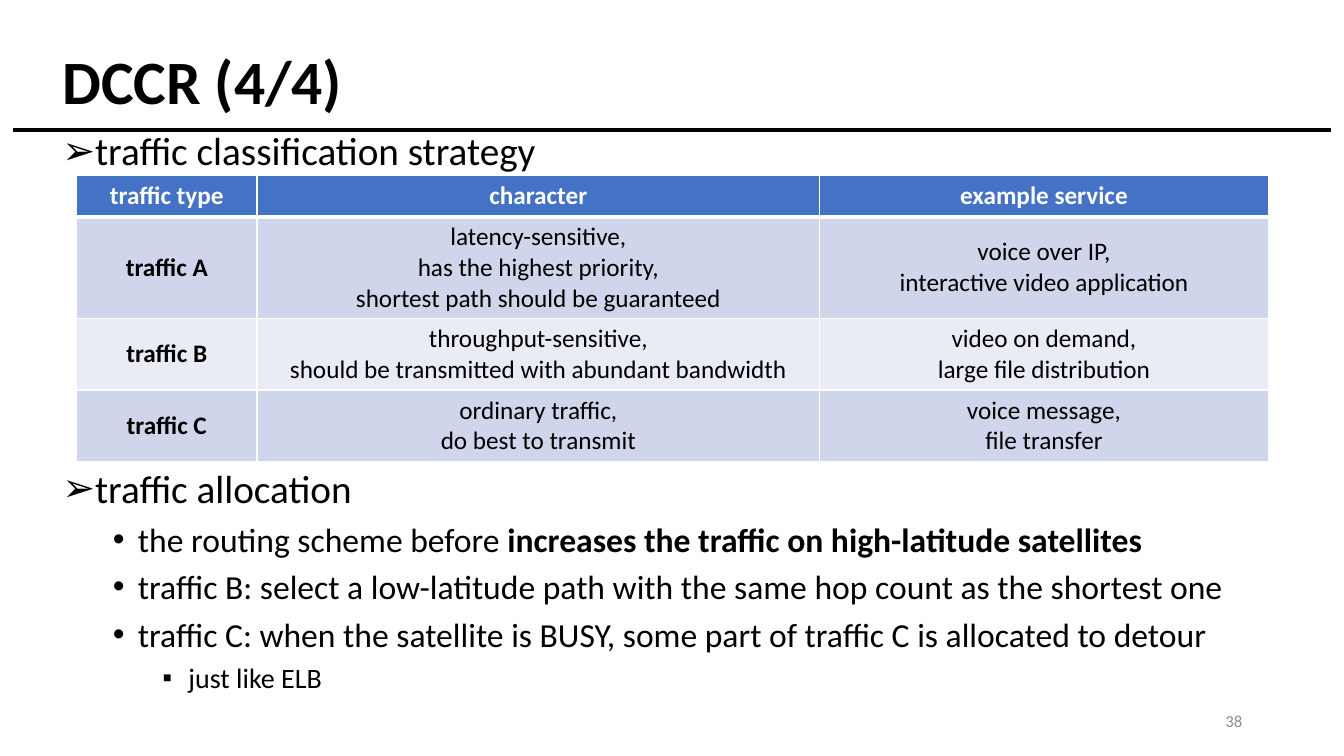
"""Build the DCCR slide with its traffic classes and allocation rules."""
import pptx
import pptx.util
import pptx.dml.color
import pptx.enum.shapes
import pptx.enum.text
import pptx.oxml
import lxml.etree

Inches = pptx.util.Inches
Pt = pptx.util.Pt
ALIGN = pptx.enum.text.PP_ALIGN
MIDDLE = pptx.enum.text.MSO_ANCHOR.MIDDLE
NS = "http://schemas.openxmlformats.org/drawingml/2006/main"
COLORS = {"ink": "000000", "white": "FFFFFF", "gray": "8C8C8C",
          "head": "4472C4", "odd": "CFD5EA", "even": "E9EBF5"}


def add_run(para, text, size, color="ink", bold=False):
    run = para.add_run()
    run.text = text
    run.font.name = "Calibri"
    run.font.size = Pt(size)
    run.font.bold = bold
    run.font.color.rgb = pptx.dml.color.RGBColor.from_string(COLORS[color])


def add_box(left, top, width, height, anchor=pptx.enum.text.MSO_ANCHOR.TOP):
    box = slide.shapes.add_textbox(Inches(left), Inches(top), Inches(width), Inches(height))
    box.text_frame.word_wrap = True
    box.text_frame.vertical_anchor = anchor
    return box.text_frame


deck = pptx.Presentation()
deck.slide_width = Inches(13.33)
deck.slide_height = Inches(7.5)
slide = deck.slides.add_slide(deck.slide_layouts[6])

rule = slide.shapes.add_connector(pptx.enum.shapes.MSO_CONNECTOR.STRAIGHT,
                                  Inches(0.13), Inches(1.29), Inches(13.2), Inches(1.29))
rule.line.width = Pt(3)
rule.line.color.rgb = pptx.dml.color.RGBColor.from_string(COLORS["ink"])
lxml.etree.SubElement(rule.element.spPr, f"{{{NS}}}effectLst")

title = add_box(0.52, 0.28, 8.36, 1.12, MIDDLE).paragraphs[0]
title.line_spacing = 0.9
add_run(title, "DCCR (4/4)", 44, bold=True)

levels = [
    {"size": 28, "mark": "➢", "scale": 100, "space": 10, "line": 0.9},
    {"size": 24, "mark": "•", "scale": 100, "space": 5, "line": 1.0},
    {"size": 20, "mark": "■", "scale": 50, "space": 5, "line": 1.0},
]
blocks = [
    (1.26, 0.48, [(0, [("traffic classification strategy", False)])]),
    (4.61, 2.4, [
        (0, [("traffic allocation", False)]),
        (1, [("the routing scheme before ", False),
             ("increases the traffic on high-latitude satellites", True)]),
        (1, [("traffic B: select a low-latitude path with the same hop count "
              "as the shortest one", False)]),
        (1, [("traffic C: when the satellite is BUSY, some part of traffic C "
              "is allocated to detour", False)]),
        (2, [("just like ELB", False)]),
    ]),
]
for top, height, items in blocks:
    frame = add_box(0.52, top, 12.29, height)
    for i, (depth, runs) in enumerate(items):
        level = levels[depth]
        para = frame.add_paragraph() if i else frame.paragraphs[0]
        para.level = depth
        props = para._p.get_or_add_pPr()
        props.set("marL", str(Inches(0.25 + 0.5 * depth)))
        props.set("indent", str(Inches(-0.25)))
        lxml.etree.SubElement(props, f"{{{NS}}}buSzPct", val=str(level["scale"] * 1000))
        lxml.etree.SubElement(props, f"{{{NS}}}buFont", typeface="Arial")
        lxml.etree.SubElement(props, f"{{{NS}}}buChar", char=level["mark"])
        para.line_spacing = level["line"]
        para.space_before = Pt(level["space"] if i else 0)
        for text, bold in runs:
            add_run(para, text, level["size"], bold=bold)

rows = [
    (0.41, "head", ["traffic type", "character", "example service"]),
    (1.01, "odd", ["traffic A",
                   "latency-sensitive,\nhas the highest priority,\n"
                   "shortest path should be guaranteed",
                   "voice over IP,\ninteractive video application"]),
    (0.71, "even", ["traffic B",
                    "throughput-sensitive,\nshould be transmitted with abundant bandwidth",
                    "video on demand,\nlarge file distribution"]),
    (0.71, "odd", ["traffic C", "ordinary traffic,\ndo best to transmit",
                   "voice message,\nfile transfer"]),
]
table = slide.shapes.add_table(4, 3, Inches(0.76), Inches(1.74),
                               Inches(11.82), Inches(2.84)).table
for column, width in zip(table.columns, [1.79, 5.58, 4.45]):
    column.width = Inches(width)
for r, (height, fill, texts) in enumerate(rows):
    table.rows[r].height = Inches(height)
    for c, text in enumerate(texts):
        cell = table.cell(r, c)
        cell.vertical_anchor = MIDDLE
        props = cell._tc.get_or_add_tcPr()
        for side in "LRTB":
            thick = (r, side) in [(0, "B"), (1, "T")]
            props.append(pptx.oxml.parse_xml(
                f'<a:ln{side} xmlns:a="{NS}" w="{Pt(3 if thick else 1)}"><a:solidFill>'
                f'<a:srgbClr val="{COLORS["white"]}"/></a:solidFill></a:ln{side}>'))
        cell.fill.solid()
        cell.fill.fore_color.rgb = pptx.dml.color.RGBColor.from_string(COLORS[fill])
        for i, line in enumerate(text.split("\n")):
            para = cell.text_frame.add_paragraph() if i else cell.text_frame.paragraphs[0]
            para.alignment = ALIGN.CENTER
            add_run(para, line, 18, "ink" if r else "white", r == 0 or c == 0)

number = add_box(9.42, 6.95, 3, 0.4, MIDDLE).paragraphs[0]
number.alignment = ALIGN.RIGHT
add_run(number, "38", 12, "gray")

deck.save("out.pptx")
